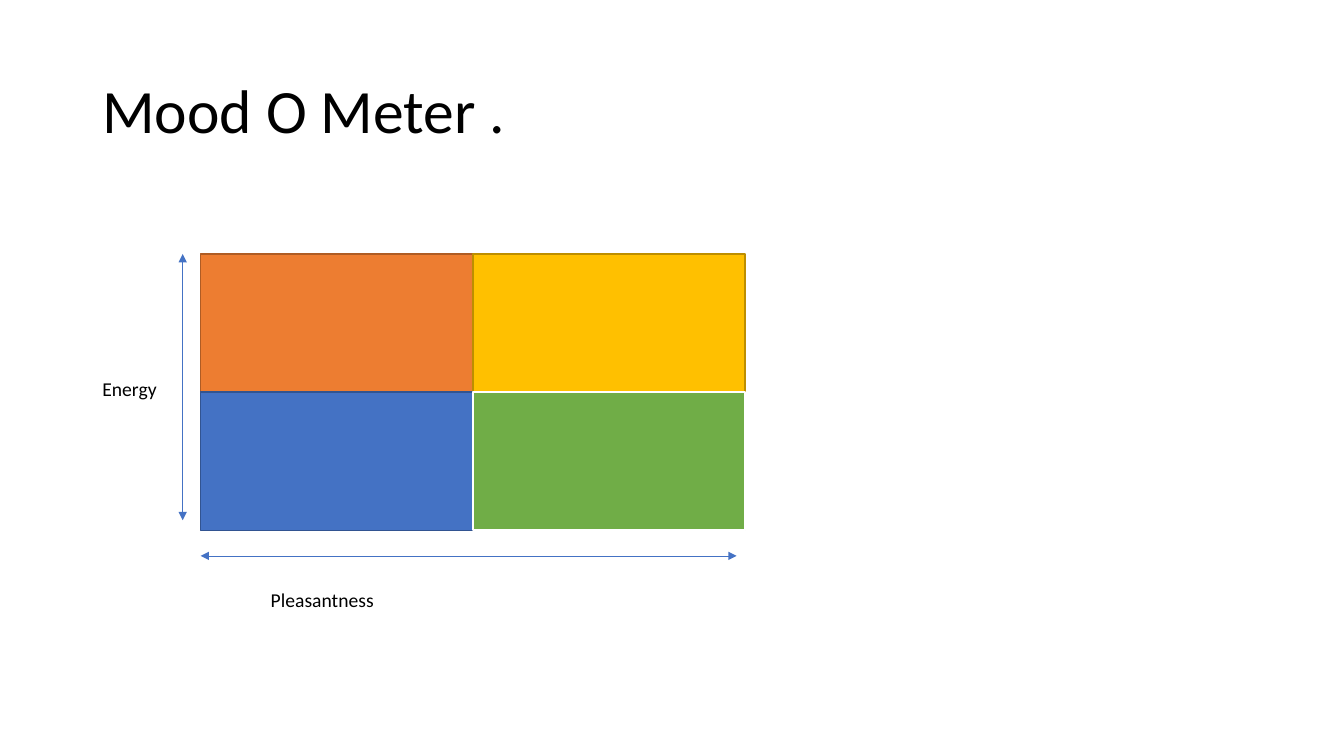
from pptx import Presentation
from pptx.dml.color import RGBColor
from pptx.enum.shapes import MSO_CONNECTOR, MSO_SHAPE
from pptx.enum.text import MSO_ANCHOR
from pptx.oxml.ns import qn
from pptx.util import Pt
from lxml import etree

RECTANGLE = MSO_SHAPE.RECTANGLE
STRAIGHT = MSO_CONNECTOR.STRAIGHT
MIDDLE = MSO_ANCHOR.MIDDLE

TITLE = "Mood O Meter ."
ENERGY = "Energy"
PLEASANTNESS = "Pleasantness"
QUADRANTS = [
    [("ED7D31", "AF5C24", 1), ("FFC000", "BD8E00", 1)],
    [("4472C4", "325491", 1), ("70AD47", "FFFFFF", 1.5)],
]
GRID_LEFT, GRID_TOP = 143.3, 181.4
CELL_WIDTH, CELL_HEIGHT = 194.5, 98.7
ENERGY_AXIS_X, ENERGY_AXIS_END = 130.5, 371.6
PLEASANTNESS_AXIS_Y, PLEASANTNESS_AXIS_END = 397.1, 526.2
AXIS_COLOR = "4472C4"


def color(value):
    return RGBColor.from_string(value)


def add_text(slide, text, left, top, width, height, size=14, spacing=0.9):
    shape = slide.shapes.add_textbox(Pt(left), Pt(top), Pt(width), Pt(height))
    frame = shape.text_frame
    frame.word_wrap = True
    frame.vertical_anchor = MIDDLE
    paragraph = frame.paragraphs[0]
    paragraph.text = text
    paragraph.line_spacing = spacing
    paragraph.font.size = Pt(size)
    paragraph.font.name = "Calibri"
    paragraph.font.color.rgb = color("000000")


def add_quadrant(slide, left, top, fill, line, line_width):
    shape = slide.shapes.add_shape(
        RECTANGLE, Pt(left), Pt(top), Pt(CELL_WIDTH), Pt(CELL_HEIGHT))
    shape.shadow.inherit = False
    shape.fill.solid()
    shape.fill.fore_color.rgb = color(fill)
    shape.line.color.rgb = color(line)
    shape.line.width = Pt(line_width)


def add_axis(slide, start_x, start_y, end_x, end_y):
    connector = slide.shapes.add_connector(
        STRAIGHT, Pt(start_x), Pt(start_y), Pt(end_x), Pt(end_y))
    connector.line.color.rgb = color(AXIS_COLOR)
    connector.line.width = Pt(0.5)
    outline = connector.line._get_or_add_ln()
    for end in ("a:headEnd", "a:tailEnd"):
        etree.SubElement(outline, qn(end), type="triangle")
    etree.SubElement(connector._element.spPr, qn("a:effectLst"))


def main():
    presentation = Presentation()
    presentation.slide_width = Pt(960)
    presentation.slide_height = Pt(540)
    slide = presentation.slides.add_slide(presentation.slide_layouts[6])

    add_text(slide, TITLE, 66, 28.8, 828, 104.4, size=44)
    add_text(slide, ENERGY, 66, 266, 60, 26)
    add_text(slide, PLEASANTNESS, 186.3, 416.5, 110, 26)

    for row, quadrants in enumerate(QUADRANTS):
        for column, (fill, line, line_width) in enumerate(quadrants):
            left = GRID_LEFT + column * CELL_WIDTH
            top = GRID_TOP + row * CELL_HEIGHT
            add_quadrant(slide, left, top, fill, line, line_width)

    add_axis(slide, ENERGY_AXIS_X, GRID_TOP, ENERGY_AXIS_X, ENERGY_AXIS_END)
    add_axis(slide, GRID_LEFT, PLEASANTNESS_AXIS_Y,
             PLEASANTNESS_AXIS_END, PLEASANTNESS_AXIS_Y)
    presentation.save("out.pptx")


if __name__ == "__main__":
    main()
